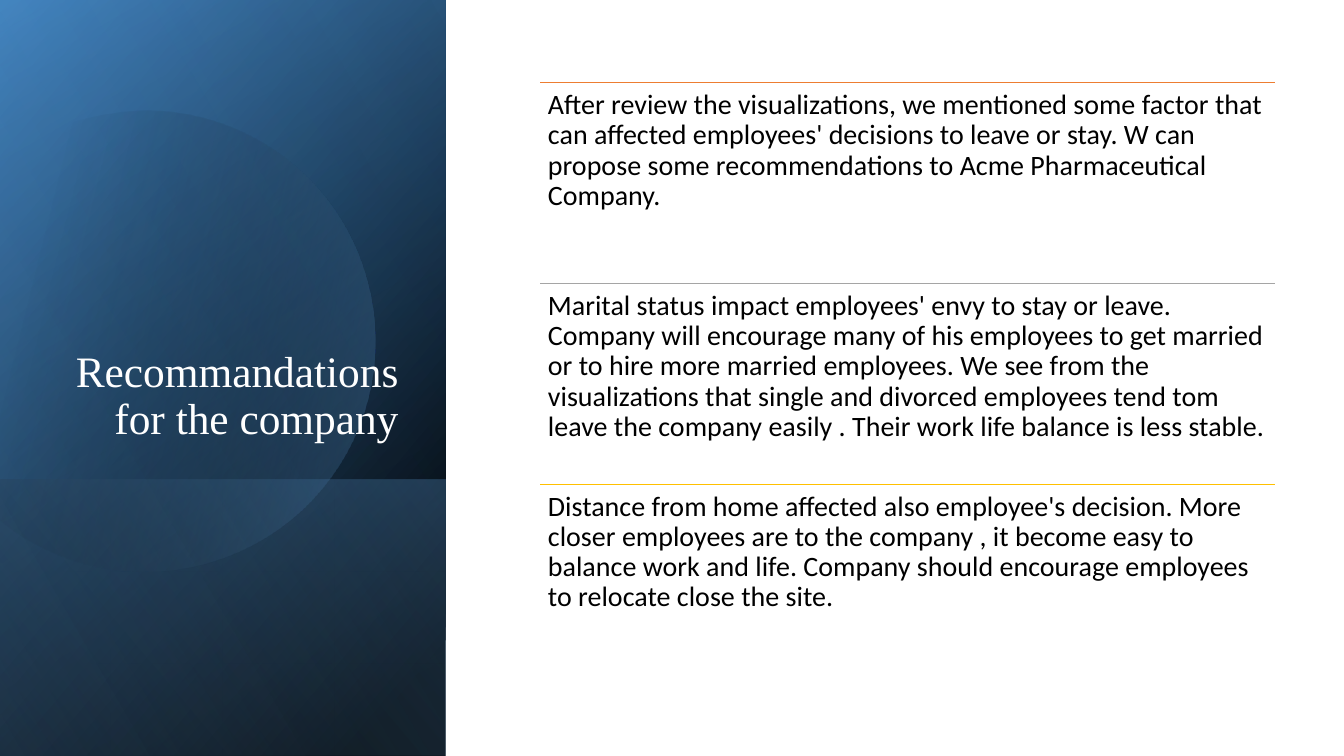
from dataclasses import dataclass
from math import comb, cos, radians, sin

from lxml.etree import SubElement
from pptx import Presentation
from pptx.dml.color import RGBColor
from pptx.enum.shapes import MSO_CONNECTOR, MSO_SHAPE
from pptx.enum.text import MSO_ANCHOR, PP_ALIGN
from pptx.oxml.ns import qn
from pptx.util import Cm, Pt


@dataclass(frozen=True)
class Theme:
    """Colours, fonts and type sizes of the slide."""
    black: str = "000000"
    white: str = "FFFFFF"
    deep_blue: str = "2E75B6"
    blue: str = "5B9BD5"
    pale_blue: str = "9DC3E6"
    rules: tuple = ("ED7D31", "A5A5A5", "FFC000")
    title_font: str = "Times New Roman"
    body_font: str = "Calibri"
    title_size: int = 31
    body_size: int = 20


THEME = Theme()
SLIDE_WIDTH, SLIDE_HEIGHT = 33.87, 19.05
PANEL_WIDTH, FOOT_HEIGHT = 11.23, 6.96
LIST_LEFT, LIST_TOP, LIST_WIDTH, ROW_HEIGHT = 13.61, 2.08, 18.53, 5.06
DISC_CENTRE, DISC_ROTATION = (4.03, 8.5), 343.9
DISC_START = (3.78, 2.79)
DISC_SEGMENTS = [
    [(6.25, 2.84), (8.51, 4.5), (9.22, 6.99)],
    [(10.11, 10.08), (8.33, 13.28), (5.26, 14.17)],
    [(3.33, 14.73), (1.35, 14.25), (-0.08, 13.06)],
    [(-0.38, 12.78)],
    [(-0.38, 4.45)],
    [(0, 4.09)],
    [(0.58, 3.61), (1.27, 3.23), (2.03, 3.02)],
    [(2.62, 2.87), (3.2, 2.79), DISC_START],
]
RECOMMENDATIONS = [
    "After review the visualizations, we mentioned some factor that can affected "
    "employees' decisions to leave or stay. W can propose some recommendations to "
    "Acme Pharmaceutical Company.",
    "Marital status impact employees' envy to stay or leave. Company will encourage "
    "many of his employees to get married or to hire more married employees. We see "
    "from the visualizations that single and divorced employees tend tom leave the "
    "company easily . Their work life balance is less stable.",
    "Distance from home affected also employee's decision. More closer employees are "
    "to the company , it become easy to balance work and life. Company should "
    "encourage employees to relocate close the site.",
]


def set_format(target, values):
    """Set each attribute named in values on the target."""
    for name, value in values.items():
        setattr(target, name, value)


def paint_gradient(shape, stops, angle):
    """Fill a shape with stops of (percent, colour, opacity) at a clockwise angle."""
    shape.shadow.inherit = False
    shape.line.fill.background()
    shape.fill.gradient()
    shape.fill.gradient_angle = 360 - angle
    for stop, (percent, colour, opacity) in zip(shape.fill.gradient_stops, stops):
        stop.position = percent / 100
        stop.color.rgb = RGBColor.from_string(colour)
    colours = shape._element.spPr.iter(qn("a:srgbClr"))
    for element, (percent, colour, opacity) in zip(colours, stops):
        if opacity < 100:
            SubElement(element, qn("a:alpha"), val=str(opacity * 1000))


def add_panel(page, height, stops, angle):
    """Add a turned, mirrored gradient panel standing on the bottom left corner."""
    left = (PANEL_WIDTH - height) / 2
    top = SLIDE_HEIGHT - height / 2 - PANEL_WIDTH / 2
    panel = page.shapes.add_shape(
        MSO_SHAPE.RECTANGLE, Cm(left), Cm(top), Cm(height), Cm(PANEL_WIDTH))
    panel.rotation = 90
    panel._element.spPr.xfrm.set("flipH", "1")
    paint_gradient(panel, stops, angle)


def curve_points(controls, steps):
    """Return points along the Bezier curve through the given controls."""
    degree = len(controls) - 1
    points = []
    for step in range(1, steps + 1):
        t = step / steps
        weights = [comb(degree, i) * t**i * (1 - t)**(degree - i)
                   for i in range(degree + 1)]
        points.append(tuple(sum(w * point[axis] for w, point in zip(weights, controls))
                            for axis in (0, 1)))
    return points


def turn_back(point):
    """Undo the disc rotation for a point and return it as lengths."""
    angle = radians(-DISC_ROTATION)
    dx, dy = (value - centre for value, centre in zip(point, DISC_CENTRE))
    return (Cm(DISC_CENTRE[0] + dx * cos(angle) - dy * sin(angle)),
            Cm(DISC_CENTRE[1] + dx * sin(angle) + dy * cos(angle)))


def add_disc(page, stops, angle):
    """Add the translucent disc that is cut off at the slide edge."""
    outline = [DISC_START]
    for segment in DISC_SEGMENTS:
        steps = 24 if len(segment) > 1 else 1
        outline += curve_points([outline[-1], *segment], steps)
    points = [turn_back(point) for point in outline]
    builder = page.shapes.build_freeform(*points[0])
    builder.add_line_segments(points[1:], close=True)
    disc = builder.convert_to_shape()
    disc.rotation = DISC_ROTATION
    paint_gradient(disc, stops, angle)


def add_text(page, frame, text, font, frame_format, para_format):
    """Add a wrapping text box with one paragraph."""
    box = page.shapes.add_textbox(*(Cm(value) for value in frame))
    set_format(box.text_frame, {"word_wrap": True, **frame_format})
    para = box.text_frame.paragraphs[0]
    set_format(para, {"line_spacing": 0.9, **para_format})
    span = para.add_run()
    span.text = text
    name, size, colour = font
    set_format(span.font, {"name": name, "size": Pt(size)})
    span.font.color.rgb = RGBColor.from_string(colour)


def add_rule(page, top, colour):
    """Add a thin horizontal rule above a recommendation."""
    rule = page.shapes.add_connector(
        MSO_CONNECTOR.STRAIGHT, Cm(LIST_LEFT), Cm(top),
        Cm(LIST_LEFT + LIST_WIDTH), Cm(top))
    rule.line.width = Pt(0.5)
    rule.line.color.rgb = RGBColor.from_string(colour)
    SubElement(rule._element.spPr, qn("a:effectLst"))


def add_recommendations(page):
    """Stack the ruled recommendations at an equal pitch."""
    sides = ("left", "right", "top", "bottom")
    insets = {f"margin_{side}": Cm(0.2) for side in sides}
    font = (THEME.body_font, THEME.body_size, THEME.black)
    for row, (text, colour) in enumerate(zip(RECOMMENDATIONS, THEME.rules)):
        top = LIST_TOP + row * ROW_HEIGHT
        add_rule(page, top, colour)
        add_text(page, (LIST_LEFT, top, LIST_WIDTH, ROW_HEIGHT), text, font, insets, {})


def main():
    """Build the slide and save the deck."""
    deck = Presentation()
    set_format(deck, {"slide_width": Cm(SLIDE_WIDTH), "slide_height": Cm(SLIDE_HEIGHT)})
    page = deck.slides.add_slide(deck.slide_layouts[6])
    black, blue = THEME.black, THEME.blue
    add_panel(page, SLIDE_HEIGHT, [(8, black, 100), (100, THEME.deep_blue, 100)], 50)
    add_panel(page, SLIDE_HEIGHT, [(0, black, 0), (99, blue, 46)], 30)
    add_panel(page, FOOT_HEIGHT, [(2, blue, 29), (100, black, 30)], 130)
    add_disc(page, [(29, black, 0), (100, blue, 43)], 30)
    add_panel(page, SLIDE_HEIGHT, [(0, black, 0), (99, THEME.pale_blue, 11)], 120)
    add_text(page, (1.63, 4.67, 8.66, 6.65), "Recommandations for the company",
             (THEME.title_font, THEME.title_size, THEME.white),
             {"vertical_anchor": MSO_ANCHOR.BOTTOM}, {"alignment": PP_ALIGN.RIGHT})
    add_recommendations(page)
    deck.save("out.pptx")


if __name__ == "__main__":
    main()
